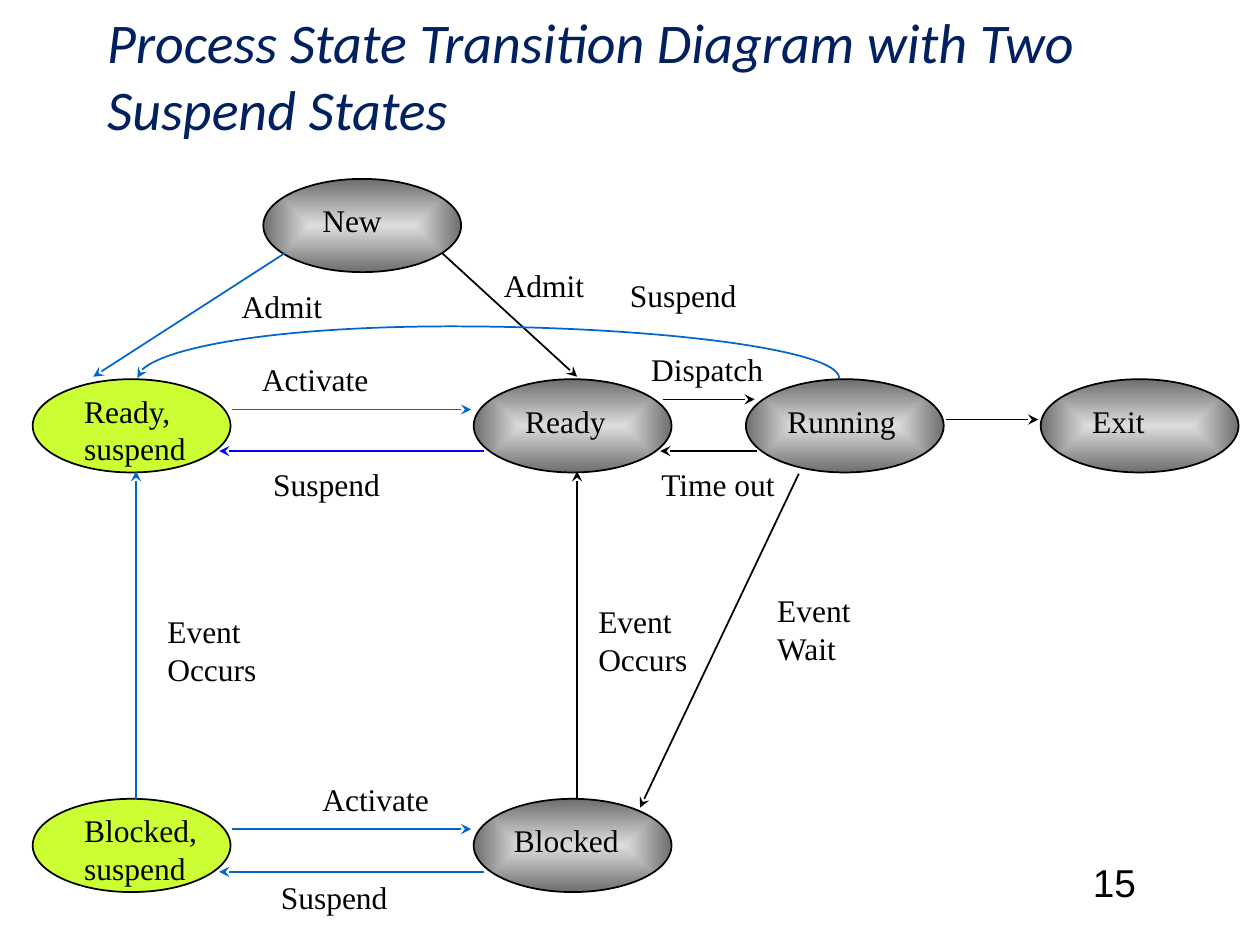
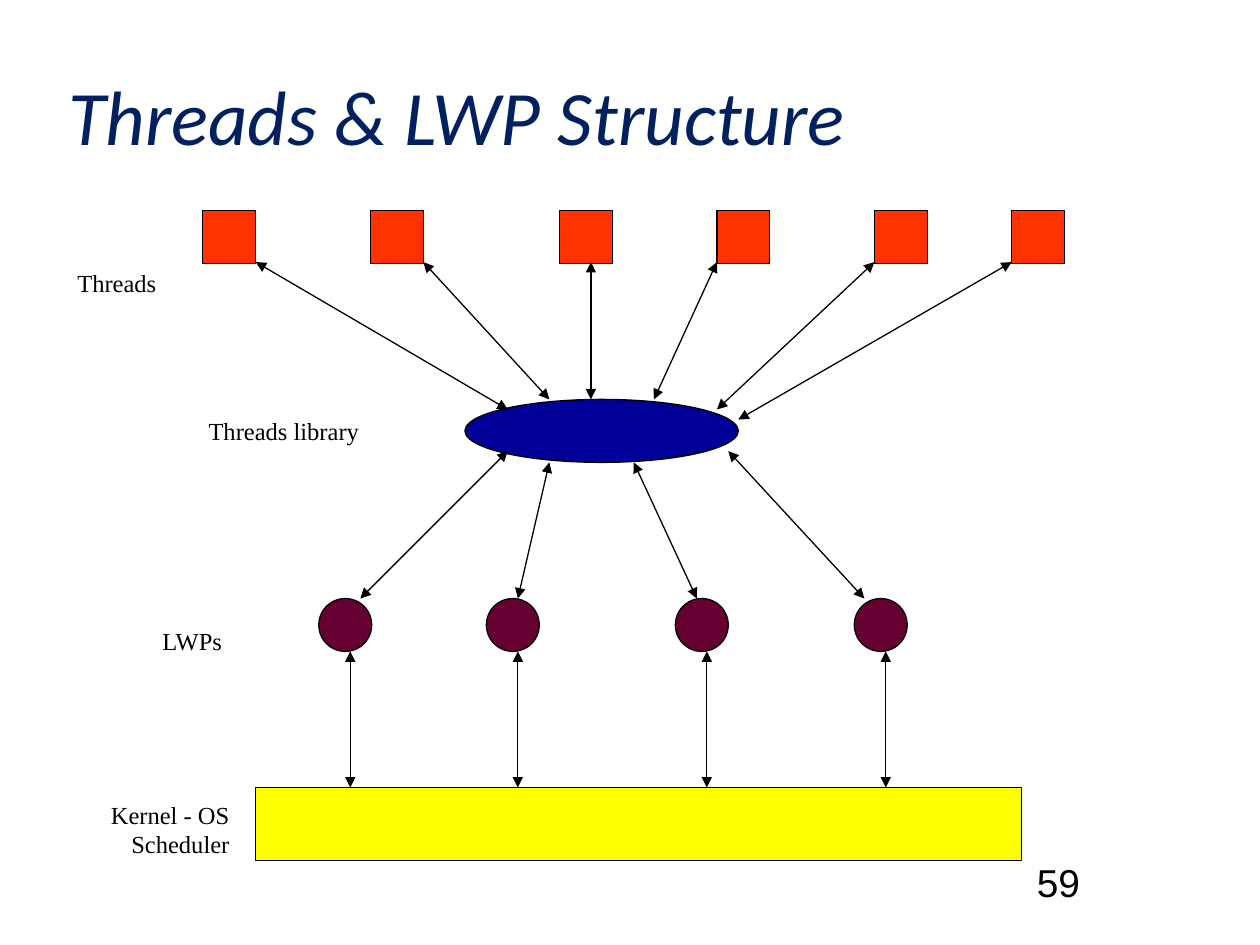
from lxml import etree
from pptx import Presentation
from pptx import util as u
from pptx.dml.color import RGBColor
from pptx.enum import shapes, text
from pptx.oxml import ns, parse_xml

PX = 9144  # EMU, 100 px to the inch
COLORS = {
    "title": "002060", "ink": "000000", "blue": "0066CC", "strong_blue": "0000FF",
    "suspended": "CCFF33", "state_core": "DDDDDD", "state_edge": "6E6E6E",
    "thread": "FF3300", "library": "000099", "lwp": "660033", "kernel": "FFFF00",
}
BODY_FONT = "Times New Roman"
TITLE_FONT = "Calibri"
STATE_W, STATE_H = 157, 74
NODE = 42
LABEL_WIDTHS = {
    "Admit": 90, "Suspend": 111, "Activate": 111, "Dispatch": 115, "Time out": 117,
    "Event\nOccurs": 97, "Event\nWait": 84, "New": 73, "Ready,\nsuspend": 107,
    "Ready": 90, "Running": 112, "Exit": 67, "Blocked,\nsuspend": 115, "Blocked": 109,
}


def rgb(name):
    return RGBColor.from_string(COLORS[name])


def style_text(tf, size, font=BODY_FONT, color="ink", align=text.PP_ALIGN.LEFT, italic=None):
    for p in tf.paragraphs:
        p.alignment = align
        for r in p.runs:
            r.font.size = u.Pt(size)
            r.font.name = font
            r.font.italic = italic
            r.font.color.rgb = rgb(color)


def add_title(s, words, box, size, anchor):
    title = s.shapes.title
    title.left, title.top, title.width, title.height = (n * PX for n in box)
    tf = title.text_frame
    tf.text = words
    tf.word_wrap = True
    tf.auto_size = text.MSO_AUTO_SIZE.NONE
    tf.vertical_anchor = anchor
    style_text(tf, size, TITLE_FONT, "title", italic=True)


def add_page_number(s, number, left, width):
    """Right-to-left paragraph, so the digits take the complex-script font."""
    tf = s.shapes.add_textbox(left * PX, 681 * PX, width * PX, 50 * PX).text_frame
    tf.text = number
    tf.word_wrap = True
    style_text(tf, 22.2, align=text.PP_ALIGN.CENTER)
    p = tf.paragraphs[0]
    p.line_spacing = 0.9
    p._p.get_or_add_pPr().set("rtl", "1")
    cs = etree.SubElement(p.runs[0]._r.get_or_add_rPr(), ns.qn("a:cs"))
    cs.set("typeface", "Arial")


def set_arrowheads(line, kind, ends):
    ln = line._get_or_add_ln()
    for end in ends:
        etree.SubElement(ln, ns.qn(f"a:{end}")).set("type", kind)


def set_rect_gradient(sp):
    """Fill from a light core out to a dark edge."""
    sp.fill.background()
    stops = "".join(
        f'<a:gs pos="{pos}"><a:srgbClr val="{COLORS[name]}"/></a:gs>'
        for pos, name in ((0, "state_core"), (100000, "state_edge")))
    grad = parse_xml(
        f'<a:gradFill {ns.nsdecls("a")} rotWithShape="1"><a:gsLst>{stops}</a:gsLst>'
        '<a:path path="rect"><a:fillToRect l="50000" t="50000" r="50000" b="50000"/>'
        '</a:path></a:gradFill>')
    spPr = sp._element.spPr
    spPr.replace(spPr.find(ns.qn("a:noFill")), grad)


class Region:
    """Draws on a slide, measuring from its own top left corner."""

    def __init__(self, s, left, top, line_width):
        self.shapes = s.shapes
        self.left, self.top = left, top
        self.line_width = u.Pt(line_width)

    def at(self, x, y):
        return (self.left + x) * PX, (self.top + y) * PX

    def outline(self, sp, color="ink"):
        sp.line.color.rgb = rgb(color)
        sp.line.width = self.line_width

    def shape(self, kind, x, y, w, h, fill=None):
        sp = self.shapes.add_shape(kind, *self.at(x, y), w * PX, h * PX)
        sp.shadow.inherit = False
        if fill:
            sp.fill.solid()
            sp.fill.fore_color.rgb = rgb(fill)
        else:
            set_rect_gradient(sp)
        self.outline(sp)

    def arrow(self, start, end, head, color="ink", ends=("tailEnd",)):
        line = self.shapes.add_connector(
            shapes.MSO_CONNECTOR.STRAIGHT, *self.at(*start), *self.at(*end))
        self.outline(line, color)
        set_arrowheads(line.line, head, ends)
        etree.SubElement(line._element.spPr, ns.qn("a:effectLst"))

    def double_arrow(self, start, end):
        self.arrow(start, end, "triangle", ends=("headEnd", "tailEnd"))

    def curve(self, points, color):
        """Bezier line through every third point, with an arrowhead at its start."""
        builder = self.shapes.build_freeform(*self.at(*points[0]))
        builder.add_line_segments([self.at(*pt) for pt in points[1:]], close=False)
        sp = builder.convert_to_shape()
        sp.shadow.inherit = False
        sp.fill.background()
        self.outline(sp, color)
        set_arrowheads(sp.line, "stealth", ["headEnd"])
        path = sp._element.find(".//" + ns.qn("a:path"))
        segments = path.findall(ns.qn("a:lnTo"))
        for i in range(0, len(segments), 3):
            bezier = etree.SubElement(path, ns.qn("a:cubicBezTo"))
            for segment in segments[i:i + 3]:
                bezier.append(segment[0])
                path.remove(segment)

    def label(self, words, x, y, w, h, size, align=text.PP_ALIGN.LEFT):
        tf = self.shapes.add_textbox(*self.at(x, y), w * PX, h * PX).text_frame
        tf.text = words
        tf.word_wrap = True
        tf.auto_size = text.MSO_AUTO_SIZE.SHAPE_TO_FIT_TEXT
        style_text(tf, size, align=align)

    def diagram_label(self, words, x, y):
        height = 70 if "\n" in words else 40
        self.label(words, x, y, LABEL_WIDTHS[words], height, 18)


def add_states(region):
    top, middle, bottom = 2, 161, 494
    for name, x, y, inset in (
            ("New", 189, top, 37), ("Ready,\nsuspend", 6, middle, 31),
            ("Ready", 356, middle, 31), ("Running", 572, middle, 23),
            ("Exit", 806, middle, 31), ("Blocked,\nsuspend", 6, bottom, 31),
            ("Blocked", 356, bottom, 22)):
        suspended = "suspend" in name
        region.shape(shapes.MSO_SHAPE.OVAL, x, y, STATE_W, STATE_H,
                     "suspended" if suspended else None)
        region.diagram_label(name, x + inset, y + (5 if suspended else 13))


def add_transitions(region):
    for start, end, color in (
            ((206, 61), (54, 159), "blue"), ((331, 61), (438, 159), "ink"),
            ((164, 185), (354, 185), "blue"), ((364, 218), (154, 218), "strong_blue"),
            ((506, 177), (579, 177), "ink"), ((581, 218), (504, 218), "ink"),
            ((731, 193), (804, 193), "ink"), ((614, 236), (488, 501), "ink"),
            ((438, 494), (438, 234), "ink"), ((88, 494), (88, 234), "blue"),
            ((164, 518), (354, 518), "blue"), ((364, 552), (154, 552), "blue")):
        region.arrow(start, end, "stealth", color)
    region.curve([(89, 160), (90, 138), (205, 119), (338, 119),
                  (505, 119), (646, 138), (646, 160)], "blue")
    for words, x, y in (
            ("Admit", 162, 83), ("Admit", 370, 66), ("Suspend", 470, 74),
            ("Dispatch", 487, 133), ("Time out", 495, 224), ("Activate", 178, 141),
            ("Suspend", 187, 224), ("Event\nOccurs", 103, 341),
            ("Event\nOccurs", 445, 333), ("Event\nWait", 587, 324),
            ("Activate", 226, 474), ("Suspend", 193, 552)):
        region.diagram_label(words, x, y)


def add_threads(region):
    """Threads, each with its link down to the library."""
    for x, link_x, library_end in (
            (151, 193, (393, 165)), (284, 326, (426, 157)), (434, 459, (459, 157)),
            (559, 559, (509, 157)), (684, 684, (559, 165)), (793, 793, (576, 173))):
        region.shape(shapes.MSO_SHAPE.RECTANGLE, x, 7, NODE, NODE, "thread")
        region.double_arrow((link_x, 48), library_end)


def add_lwps(region, kernel_top):
    """Lightweight processes, linked up to the library and down to the kernel."""
    top = 315
    for x, link_x, library_end in (
            (243, 276, (393, 198)), (376, 401, (426, 207)),
            (526, 543, (493, 207)), (668, 676, (568, 198))):
        region.shape(shapes.MSO_SHAPE.OVAL, x, top, NODE, NODE, "lwp")
        region.double_arrow((link_x, top), library_end)
        region.double_arrow((x + 25, top + NODE), (x + 25, kernel_top))


def add_layers(region):
    kernel_top = 465
    region.shape(shapes.MSO_SHAPE.OVAL, 359, 157, 217, 50, "library")
    region.shape(shapes.MSO_SHAPE.RECTANGLE, 193, kernel_top, 608, 58, "kernel")
    add_threads(region)
    add_lwps(region, kernel_top)
    for words, x, y, w, h in (
            ("Threads", 7, 48, 117, 34), ("Threads library", 118, 165, 167, 34),
            ("LWPs", 34, 332, 142, 34), ("Kernel - OS Scheduler", 15, 470, 167, 57)):
        region.label(words, x, y, w, h, 14, text.PP_ALIGN.RIGHT)


def build_state_slide(s):
    add_title(s, "Process State Transition Diagram with Two Suspend States",
              (75, -3, 850, 125), 32, text.MSO_ANCHOR.MIDDLE)
    add_page_number(s, "15", 825, 119)
    region = Region(s, 20, 140, line_width=1)
    add_states(region)
    add_transitions(region)


def build_thread_slide(s):
    add_title(s, "Threads & LWP Structure", (44, 50, 692, 83), 44, text.MSO_ANCHOR.BOTTOM)
    add_page_number(s, "59", 736, 208)
    add_layers(Region(s, 10, 160, line_width=0.75))


def main():
    prs = Presentation()
    prs.slide_width, prs.slide_height = 1000 * PX, 750 * PX
    for build in (build_state_slide, build_thread_slide):
        build(prs.slides.add_slide(prs.slide_layouts[5]))
    prs.save("out.pptx")


if __name__ == "__main__":
    main()
